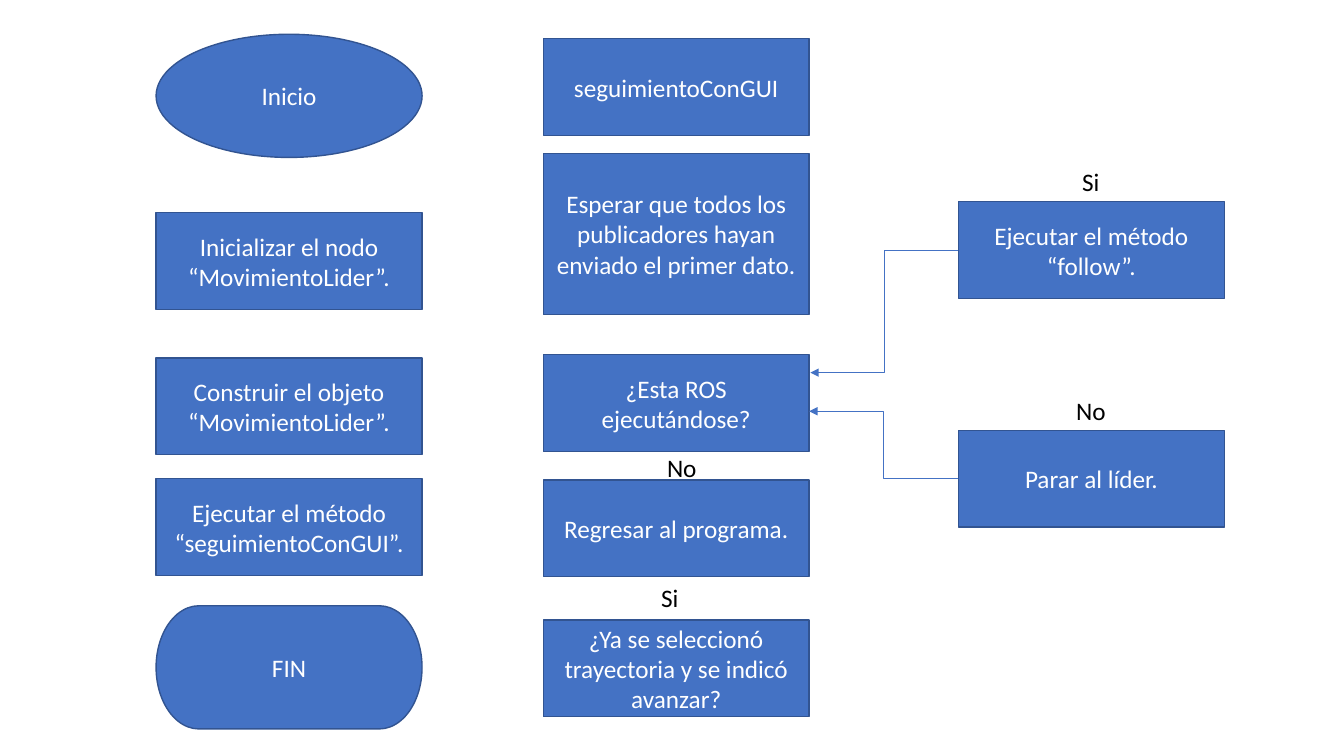
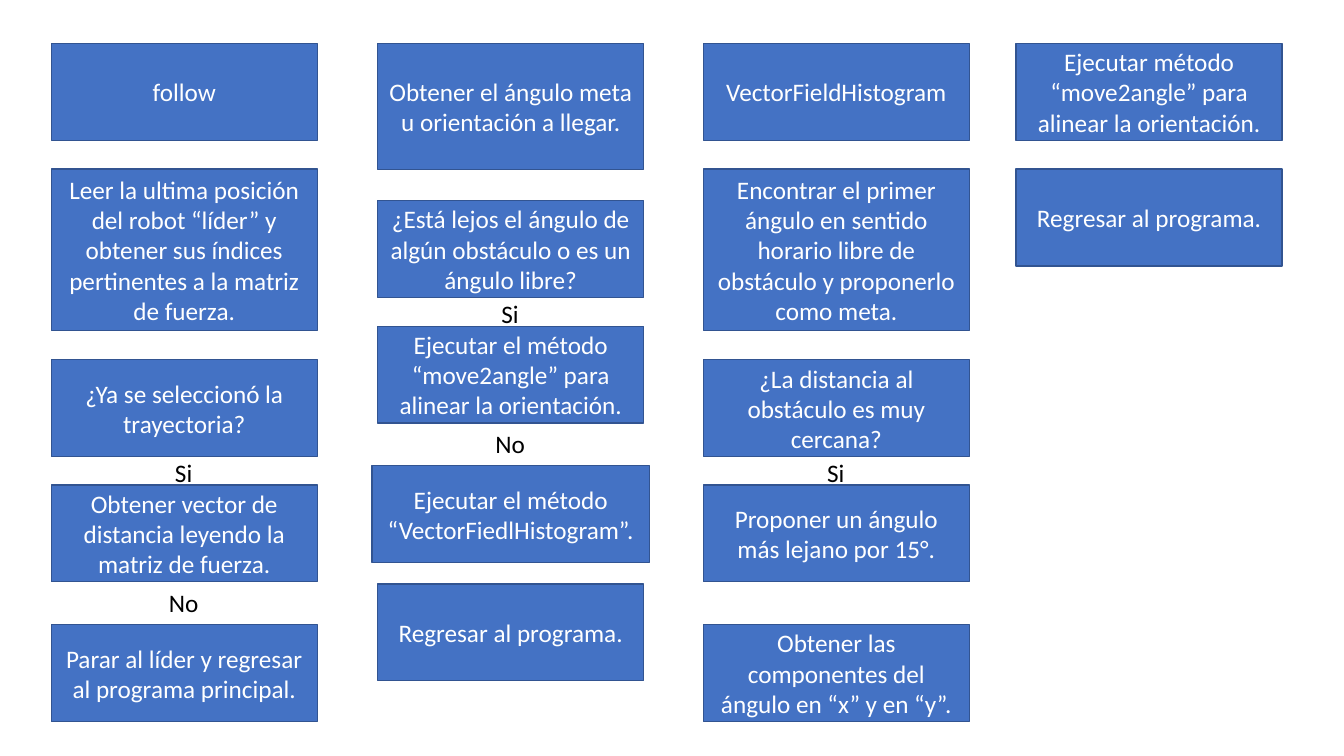
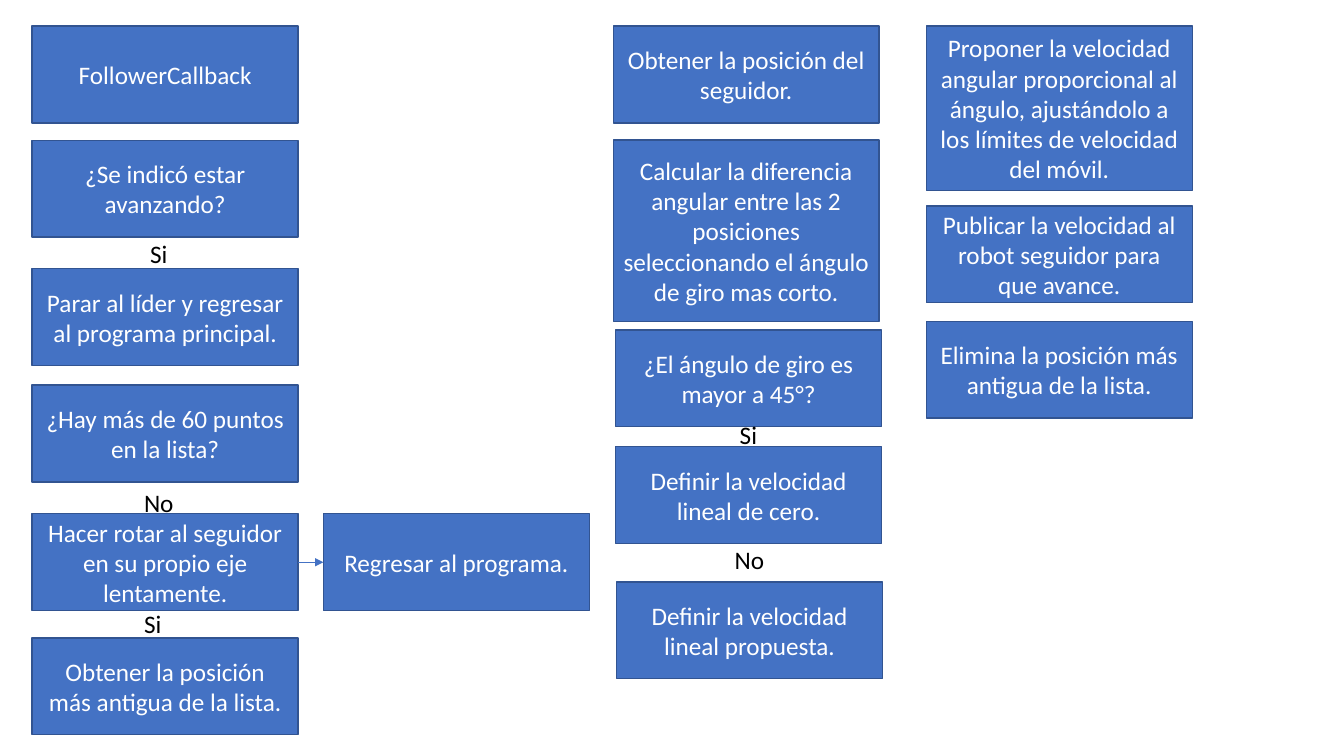
"""Build three flowchart slides for a leader and follower robot program."""
from dataclasses import dataclass

from lxml import etree
from pptx import Presentation
from pptx.dml.color import RGBColor
from pptx.enum import shapes, text
from pptx.oxml import ns
from pptx.util import Pt

BLUE = RGBColor(0x44, 0x72, 0xC4)
NAVY = RGBColor(0x32, 0x54, 0x91)
WHITE = RGBColor(0xFF, 0xFF, 0xFF)
BLACK = RGBColor(0x00, 0x00, 0x00)
FONT = {"name": "Calibri", "size": Pt(18)}
STEP_FRAME = {"word_wrap": True, "vertical_anchor": text.MSO_ANCHOR.MIDDLE}
ANSWER_FRAME = {"word_wrap": False, "auto_size": text.MSO_AUTO_SIZE.SHAPE_TO_FIT_TEXT}
STEP_WIDTH = 190
ANSWER_WIDTHS = {"Si": 27.4, "No": 36}
ANSWER_HEIGHT = 29
LEFT_SITE, RIGHT_SITE = 1, 3
RECT = shapes.MSO_SHAPE.RECTANGLE
OVAL = shapes.MSO_SHAPE.OVAL
TERMINATOR = shapes.MSO_SHAPE.FLOWCHART_TERMINATOR


@dataclass(frozen=True)
class Step:
    """A filled flowchart box centred on its column."""
    words: str
    top: float
    height: float = 69.2
    width: float = STEP_WIDTH
    shift: float = 0
    outline: shapes.MSO_SHAPE = RECT


@dataclass(frozen=True)
class Answer:
    """A yes or no label centred on its column."""
    words: str
    top: float
    shift: float = 0


@dataclass(frozen=True)
class Column:
    """A stack of steps and answers sharing a left edge."""
    left: float
    items: tuple


@dataclass(frozen=True)
class Arrow:
    """A thin arrow leaving a site of the step with the given words."""
    source: str
    site: int
    end: tuple[float, float]
    kind: shapes.MSO_CONNECTOR


@dataclass(frozen=True)
class Chart:
    """The columns and arrows of one slide."""
    columns: tuple
    arrows: tuple = ()


CHARTS = (
    Chart(
        columns=(
            Column(111.5, (
                Step("Inicio", 24.5, 88, outline=OVAL),
                Step("Inicializar el nodo “MovimientoLider”.", 152),
                Step("Construir el objeto “MovimientoLider”.", 255.6),
                Step("Ejecutar el método “seguimientoConGUI”.", 342),
                Step("FIN", 432.7, 88, outline=TERMINATOR),
            )),
            Column(388, (
                Step("seguimientoConGUI", 27.5),
                Step("Esperar que todos los publicadores hayan enviado el primer dato.", 109.5, 115.2),
                Step("¿Esta ROS ejecutándose?", 253.4),
                Answer("No", 319.7, 4.4),
                Step("Regresar al programa.", 342.8),
                Answer("Si", 412.6, -4.2),
                Step("¿Ya se seleccionó trayectoria y se indicó avanzar?", 442.8),
            )),
            Column(684.6, (
                Answer("Si", 115.2),
                Step("Ejecutar el método “follow”.", 144),
                Answer("No", 278.6),
                Step("Parar al líder.", 307.4),
            )),
        ),
        arrows=(
            Arrow("Parar al líder.", LEFT_SITE, (578, 293.8), shapes.MSO_CONNECTOR.ELBOW),
            Arrow("Ejecutar el método “follow”.", LEFT_SITE, (578.9, 266.2), shapes.MSO_CONNECTOR.ELBOW),
        ),
    ),
    Chart(
        columns=(
            Column(36.6, (
                Step("follow", 31),
                Step("Leer la ultima posición del robot “líder” y obtener sus índices "
                     "pertinentes a la matriz de fuerza.", 120.8, 115.2),
                Step("¿Ya se seleccionó la trayectoria?", 257),
                Answer("Si", 323.3),
                Step("Obtener vector de distancia leyendo la matriz de fuerza.", 346.4),
                Answer("No", 416.2),
                Step("Parar al líder y regresar al programa principal.", 446.2),
            )),
            Column(269.8, (
                Step("Obtener el ángulo meta u orientación a llegar.", 31, 90),
                Step("¿Está lejos el ángulo de algún obstáculo o es un ángulo libre?", 143.3),
                Answer("Si", 209.5),
                Step("Ejecutar el método “move2angle” para alinear la orientación.", 233),
                Answer("No", 302.4),
                Step("Ejecutar el método “VectorFiedlHistogram”.", 332.6, width=198),
                Step("Regresar al programa.", 417),
            )),
            Column(502.4, (
                Step("VectorFieldHistogram", 31),
                Step("Encontrar el primer ángulo en sentido horario libre de obstáculo "
                     "y proponerlo como meta.", 120.8, 115.2),
                Step("¿La distancia al obstáculo es muy cercana?", 257),
                Answer("Si", 323.3),
                Step("Proponer un ángulo más lejano por 15°.", 346.4),
                Step("Obtener las componentes del ángulo en “x” y en “y”.", 446.2),
            )),
            Column(725.8, (
                Step("Ejecutar método “move2angle” para alinear la orientación.", 31),
                Step("Regresar al programa.", 120.8),
            )),
        ),
    ),
    Chart(
        columns=(
            Column(23, (
                Step("FollowerCallback", 18.6),
                Step("¿Se indicó estar avanzando?", 100.2),
                Answer("Si", 167, -4.2),
                Step("Parar al líder y regresar al programa principal.", 192),
                Step("¿Hay más de 60 puntos en la lista?", 275),
                Answer("No", 344.2, -4.2),
                Step("Hacer rotar al seguidor en su propio eje lentamente.", 367),
                Answer("Si", 431.3, -8.5),
                Step("Obtener la posición más antigua de la lista.", 455.6),
            )),
            Column(231, (
                Step("Regresar al programa.", 367),
            )),
            Column(438, (
                Step("Obtener la posición del seguidor.", 18.6),
                Step("Calcular la diferencia angular entre las 2 posiciones seleccionando "
                     "el ángulo de giro mas corto.", 100, 129.6),
                Step("¿El ángulo de giro es mayor a 45°?", 235.6, shift=1.7),
                Answer("Si", 295.9, 2),
                Step("Definir la velocidad lineal de cero.", 319, shift=1.7),
                Answer("No", 385.2, 2.7),
                Step("Definir la velocidad lineal propuesta.", 415.6, shift=2.4),
            )),
            Column(661.6, (
                Step("Proponer la velocidad angular proporcional al ángulo, ajustándolo "
                     "a los límites de velocidad del móvil.", 18.6, 117.4),
                Step("Publicar la velocidad al robot seguidor para que avance.", 147),
                Step("Elimina la posición más antigua de la lista.", 229.5),
            )),
        ),
        arrows=(
            Arrow("Hacer rotar al seguidor en su propio eje lentamente.", RIGHT_SITE,
                  (231, 401.6), shapes.MSO_CONNECTOR.STRAIGHT),
        ),
    ),
)


def write(frame, words: str, color: RGBColor, layout: dict, align) -> None:
    """Put one formatted run into a text frame."""
    for key, value in layout.items():
        setattr(frame, key, value)
    paragraph = frame.paragraphs[0]
    paragraph.alignment = align
    run = paragraph.add_run()
    run.text = words
    for key, value in FONT.items():
        setattr(run.font, key, value)
    run.font.color.rgb = color


def draw_step(slide, step: Step, middle: float):
    """Draw a step around a vertical centre line and return its shape."""
    left = middle + step.shift - step.width / 2
    box = slide.shapes.add_shape(step.outline, Pt(left), Pt(step.top), Pt(step.width), Pt(step.height))
    box.shadow.inherit = False
    box.fill.solid()
    box.fill.fore_color.rgb = BLUE
    box.line.color.rgb = NAVY
    box.line.width = Pt(1)
    write(box.text_frame, step.words, WHITE, STEP_FRAME, text.PP_ALIGN.CENTER)
    return box


def draw_answer(slide, answer: Answer, middle: float) -> None:
    """Draw a yes or no label around a vertical centre line."""
    width = ANSWER_WIDTHS[answer.words]
    left = middle + answer.shift - width / 2
    label = slide.shapes.add_textbox(Pt(left), Pt(answer.top), Pt(width), Pt(ANSWER_HEIGHT))
    write(label.text_frame, answer.words, BLACK, ANSWER_FRAME, text.PP_ALIGN.LEFT)


def draw_arrow(slide, arrow: Arrow, source) -> None:
    """Draw an arrow attached to its source step."""
    end_x, end_y = map(Pt, arrow.end)
    link = slide.shapes.add_connector(arrow.kind, 0, 0, end_x, end_y)
    link.begin_connect(source, arrow.site)
    link.line.color.rgb = BLUE
    link.line.width = Pt(0.5)
    etree.SubElement(link.line._get_or_add_ln(), ns.qn("a:tailEnd"), type="triangle")
    etree.SubElement(link._element.spPr, ns.qn("a:effectLst"))


def draw_chart(slide, chart: Chart) -> None:
    """Draw every column and then the arrows of a slide."""
    boxes = {}
    for column in chart.columns:
        middle = column.left + STEP_WIDTH / 2
        for item in column.items:
            if isinstance(item, Step):
                boxes[item.words] = draw_step(slide, item, middle)
            else:
                draw_answer(slide, item, middle)
    for arrow in chart.arrows:
        draw_arrow(slide, arrow, boxes[arrow.source])


def main() -> None:
    """Create the presentation and save it."""
    deck = Presentation()
    deck.slide_width, deck.slide_height = Pt(960), Pt(540)
    blank = deck.slide_layouts[6]
    for chart in CHARTS:
        draw_chart(deck.slides.add_slide(blank), chart)
    deck.save("out.pptx")


if __name__ == "__main__":
    main()
